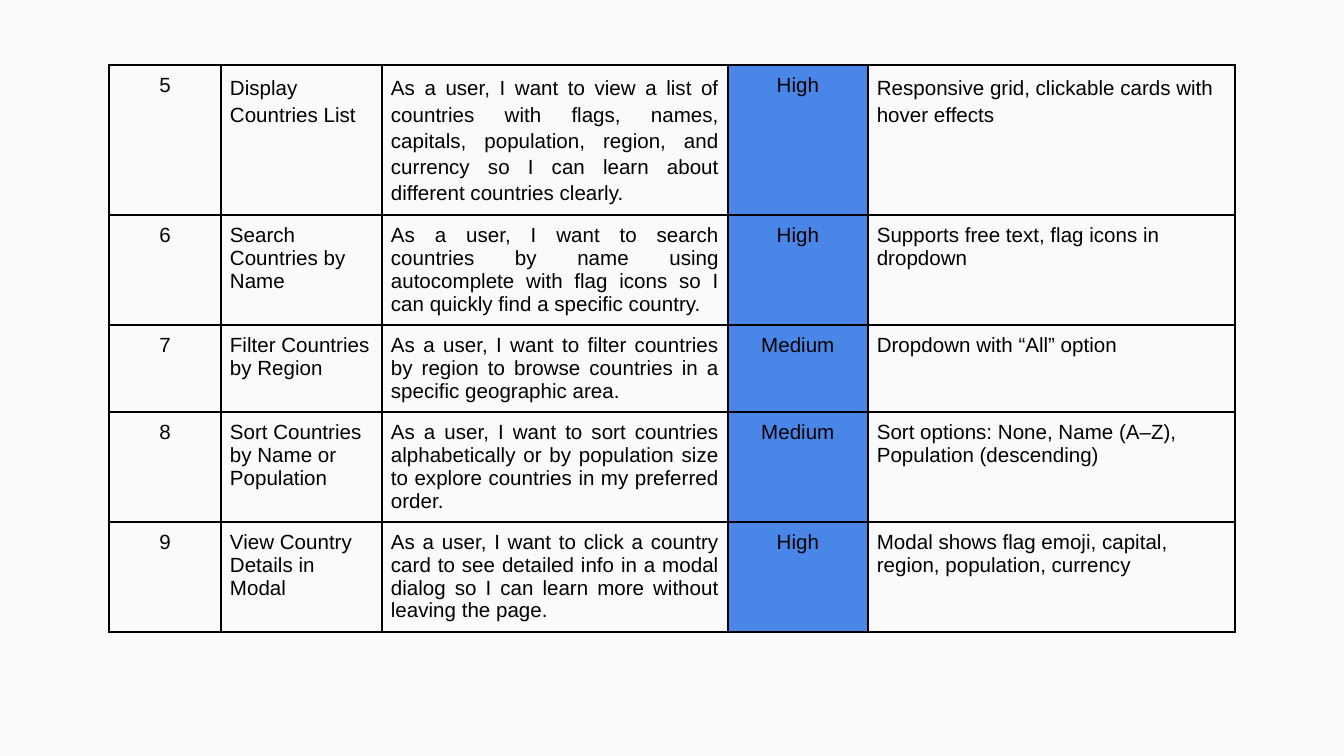
from lxml import etree
from pptx import Presentation
from pptx.dml.color import RGBColor
from pptx.enum.text import MSO_ANCHOR, PP_ALIGN
from pptx.oxml.ns import qn
from pptx.util import Pt

EMU_PER_PX = 9144000 / 1344
BACKGROUND = RGBColor(0xFA, 0xFA, 0xFA)
BLACK = RGBColor(0x00, 0x00, 0x00)
BLUE = RGBColor(0x4A, 0x86, 0xE8)
LEFT, CENTER, JUSTIFY = PP_ALIGN.LEFT, PP_ALIGN.CENTER, PP_ALIGN.JUSTIFY
TOP = MSO_ANCHOR.TOP

COLUMN_WIDTHS = [112, 161, 346, 140, 367]
COLUMN_ALIGNS = [CENTER, LEFT, JUSTIFY, CENTER, LEFT]
ROW_HEIGHTS = [150, 110, 87, 110, 110]
PRIORITY_COLUMN = 3
LOOSE_COLUMNS = (1, 2, 4)  # wider line spacing in the first row

STORIES = [
    ("5", "Display Countries List",
     "As a user, I want to view a list of countries with flags, names, capitals, "
     "population, region, and currency so I can learn about different countries clearly.",
     "High", "Responsive grid, clickable cards with hover effects"),
    ("6", "Search Countries by Name",
     "As a user, I want to search countries by name using autocomplete with flag icons "
     "so I can quickly find a specific country.",
     "High", "Supports free text, flag icons in dropdown"),
    ("7", "Filter Countries by Region",
     "As a user, I want to filter countries by region to browse countries in a "
     "specific geographic area.",
     "Medium", "Dropdown with “All” option"),
    ("8", "Sort Countries by Name or Population",
     "As a user, I want to sort countries alphabetically or by population size to "
     "explore countries in my preferred order.",
     "Medium", "Sort options: None, Name (A–Z), Population (descending)"),
    ("9", "View Country Details in Modal",
     "As a user, I want to click a country card to see detailed info in a modal dialog "
     "so I can learn more without leaving the page.",
     "High", "Modal shows flag emoji, capital, region, population, currency"),
]


def px(n):
    return round(n * EMU_PER_PX)


class SlideBuilder:
    def __init__(self, slide, font="Arial", size=11, inset=9, border=1):
        self.s = slide
        self.font, self.size = font, size
        self.inset, self.border = inset, border

    def background(self, color):
        fill = self.s.background.fill
        fill.solid()
        fill.fore_color.rgb = color

    def table(self, x, y, widths, heights):
        frame = self.s.shapes.add_table(len(heights), len(widths), px(x), px(y),
                                        px(sum(widths)), px(sum(heights)))
        table = frame.table
        table.first_row = table.horz_banding = False
        for column, width in zip(table.columns, widths):
            column.width = px(width)
        for row, height in zip(table.rows, heights):
            row.height = px(height)
        return table

    def cell(self, cell, text, align, fill=None, spacing=None):
        cell.margin_left = cell.margin_right = px(self.inset)
        cell.margin_top = cell.margin_bottom = px(self.inset)
        cell.vertical_anchor = TOP
        self.borders(cell)
        if fill is None:
            cell.fill.background()
        else:
            cell.fill.solid()
            cell.fill.fore_color.rgb = fill
        p = cell.text_frame.paragraphs[0]
        p.alignment = align
        if spacing:
            p.line_spacing = spacing
        r = p.add_run()
        r.text = text
        r.font.name = self.font
        r.font.size = Pt(self.size)
        r.font.color.rgb = BLACK

    def borders(self, cell):
        tc_pr = cell._tc.get_or_add_tcPr()
        for side in ("a:lnL", "a:lnR", "a:lnT", "a:lnB"):
            line = etree.SubElement(tc_pr, qn(side), w=str(Pt(self.border)))
            solid = etree.SubElement(line, qn("a:solidFill"))
            etree.SubElement(solid, qn("a:srgbClr"), val=str(BLACK))


def main():
    prs = Presentation()
    prs.slide_width, prs.slide_height = px(1344), px(756)
    builder = SlideBuilder(prs.slides.add_slide(prs.slide_layouts[6]))
    builder.background(BACKGROUND)
    table = builder.table(109, 65, COLUMN_WIDTHS, ROW_HEIGHTS)
    for i, story in enumerate(STORIES):
        for j, (text, align) in enumerate(zip(story, COLUMN_ALIGNS)):
            builder.cell(table.cell(i, j), text, align,
                         fill=BLUE if j == PRIORITY_COLUMN else None,
                         spacing=1.15 if i == 0 and j in LOOSE_COLUMNS else None)
    prs.save("out.pptx")


if __name__ == "__main__":
    main()
